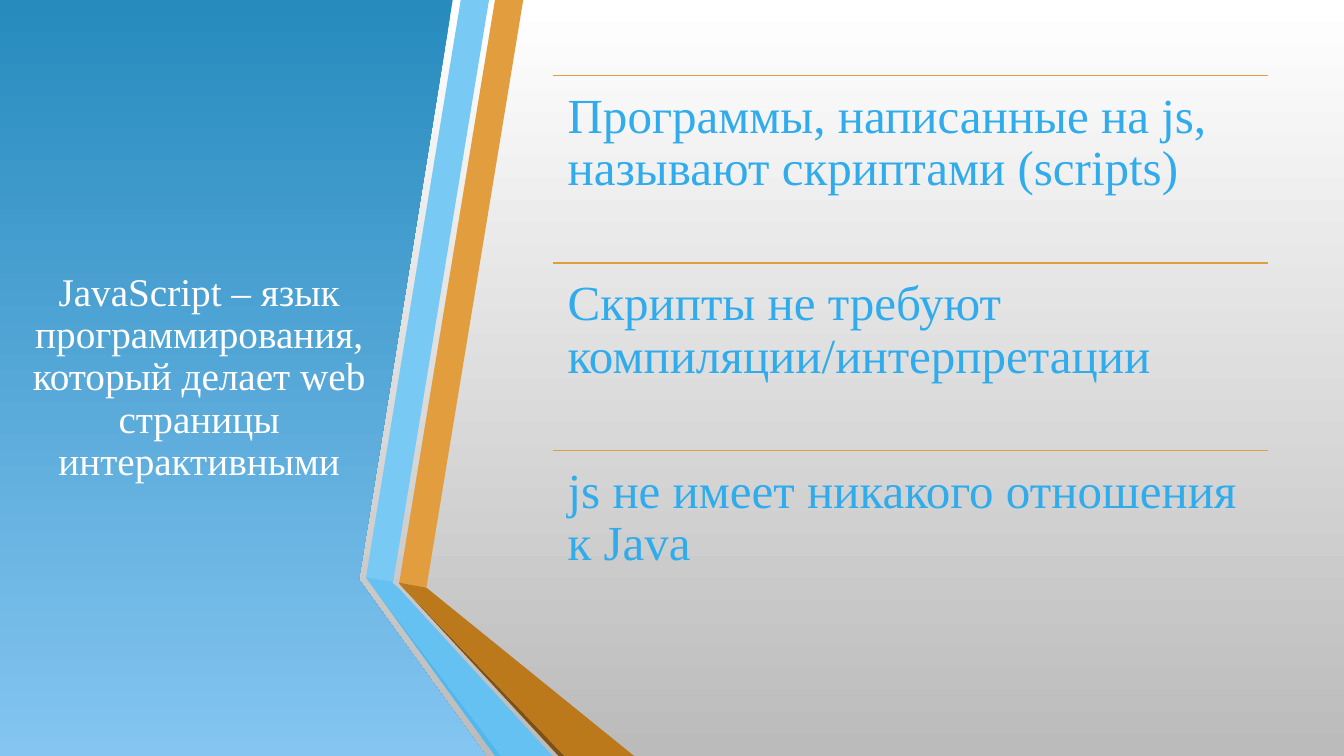
from collections import namedtuple

from lxml.etree import SubElement
from pptx import Presentation
from pptx.dml.color import RGBColor
from pptx.enum.shapes import MSO_CONNECTOR as Connector
from pptx.enum.text import MSO_ANCHOR as Anchor, MSO_AUTO_SIZE as AutoSize, PP_ALIGN as Align
from pptx.oxml.ns import qn
from pptx.util import Inches, Pt

Box = namedtuple("Box", "left top width height")

WIDTH, HEIGHT = 13.33, 7.5
FONT = "Times New Roman"
WHITE, GREY = "FFFFFF", "BBBBBB"
PANEL_TOP, PANEL_BOTTOM = "278BBE", "84C5F1"
ORANGE, TEXT_BLUE = "E29D3E", "30ACEC"

PANEL_GRID = (482, 750)
PANEL_OUTLINE = [(0, 0), (449, 0), (356, 575), (482, 750), (0, 750)]

RIBBON_GRID = (266, 750)
RIBBONS = [
    (ORANGE, [(33, 578), (60, 583), (156, 0), (128, 0)]),
    ("78C9F3", [(122, 0), (94, 0), (0, 573), (27, 577)]),
    ("4FB8EF", [(0, 573), (128, 750), (134, 750)]),
    ("7D5013", [(33, 579), (191, 750), (197, 750)]),
    ("BC791C", [(33, 579), (197, 750), (266, 750), (60, 583), (33, 578)]),
    ("64C1F1", [(185, 750), (32, 583), (26, 578), (27, 577), (0, 573), (134, 750)]),
]

TITLE = "JavaScript – язык программирования, который делает web страницы интерактивными"
FACTS = [
    "Программы, написанные на js, называют скриптами (scripts)",
    "Скрипты не требуют компиляции/интерпретации",
    "js не имеет никакого отношения к Java",
]


def color(value):
    """Turn a hex string into a colour."""
    return RGBColor.from_string(value)


def fill_downward(fill, top, bottom):
    """Apply a vertical gradient running from top to bottom."""
    fill.gradient()
    fill.gradient_angle = 270
    for stop, value in zip(fill.gradient_stops, (top, bottom)):
        stop.color.rgb = color(value)


def add_outline(page, box, grid, points):
    """Draw a closed, borderless outline whose points lie on a grid over the box."""
    columns, rows = grid
    scale = (Inches(box.width) / columns, Inches(box.height) / rows)
    builder = page.shapes.build_freeform(*points[0], scale=scale)
    builder.add_line_segments(points[1:], close=True)
    shape = builder.convert_to_shape(Inches(box.left), Inches(box.top))
    shape.shadow.inherit = False
    shape.line.fill.background()
    return shape


def format_text(para, size, value, align):
    """Set the alignment, spacing and font of a paragraph."""
    para.alignment = align
    para.line_spacing = 0.9
    for span in para.runs:
        span.font.name = FONT
        span.font.size = Pt(size)
        span.font.color.rgb = color(value)


def add_panel(page, box):
    """Draw the blue panel on the left."""
    panel = add_outline(page, box, PANEL_GRID, PANEL_OUTLINE)
    fill_downward(panel.fill, PANEL_TOP, PANEL_BOTTOM)


def add_title(page, box):
    """Place the title placeholder in front of the panel."""
    title = page.shapes.title
    title.element.getparent().append(title.element)
    title.left, title.top, title.width, title.height = map(Inches, box)
    frame = title.text_frame
    frame.text = TITLE
    frame.word_wrap = True
    frame.auto_size = AutoSize.NONE
    frame.vertical_anchor = Anchor.MIDDLE
    format_text(frame.paragraphs[0], 28, WHITE, Align.CENTER)


def add_ribbons(page, box):
    """Draw the folded ribbons along the edge of the panel."""
    for value, points in RIBBONS:
        ribbon = add_outline(page, box, RIBBON_GRID, points)
        ribbon.fill.solid()
        ribbon.fill.fore_color.rgb = color(value)


def add_rule(page, left, top, width):
    """Draw a thin horizontal rule."""
    rule = page.shapes.add_connector(
        Connector.STRAIGHT, Inches(left), Inches(top), Inches(left + width), Inches(top))
    rule.line.color.rgb = color(ORANGE)
    rule.line.width = Pt(1.25)
    SubElement(rule.element.spPr, qn("a:effectLst"))


def add_facts(page, box):
    """Stack the facts in equal rows, each under a rule."""
    row = box.height / len(FACTS)
    for index, fact in enumerate(FACTS):
        top = box.top + index * row
        add_rule(page, box.left, top, box.width)
        area = Box(box.left, top, box.width, row)
        frame = page.shapes.add_textbox(*map(Inches, area)).text_frame
        frame.word_wrap = True
        frame.margin_left = frame.margin_right = Inches(0.15)
        frame.margin_top = frame.margin_bottom = Inches(0.15)
        frame.text = fact
        format_text(frame.paragraphs[0], 35, TEXT_BLUE, Align.LEFT)
        frame.paragraphs[0].space_after = Pt(12)


def build_slide(deck):
    """Add the slide and lay out its regions."""
    page = deck.slides.add_slide(deck.slide_layouts[5])
    fill_downward(page.background.fill, WHITE, GREY)
    margin = HEIGHT / 10
    content = HEIGHT - 2 * margin
    add_panel(page, Box(0, 0, 4.82, HEIGHT))
    add_title(page, Box(0.06, margin, 3.83, content))
    add_ribbons(page, Box(3.63, 0, 2.66, HEIGHT))
    add_facts(page, Box(5.48, margin, 7.1, content - 0.42))


def main():
    """Build and save the deck."""
    deck = Presentation()
    deck.slide_width, deck.slide_height = Inches(WIDTH), Inches(HEIGHT)
    build_slide(deck)
    deck.save("out.pptx")


main()
